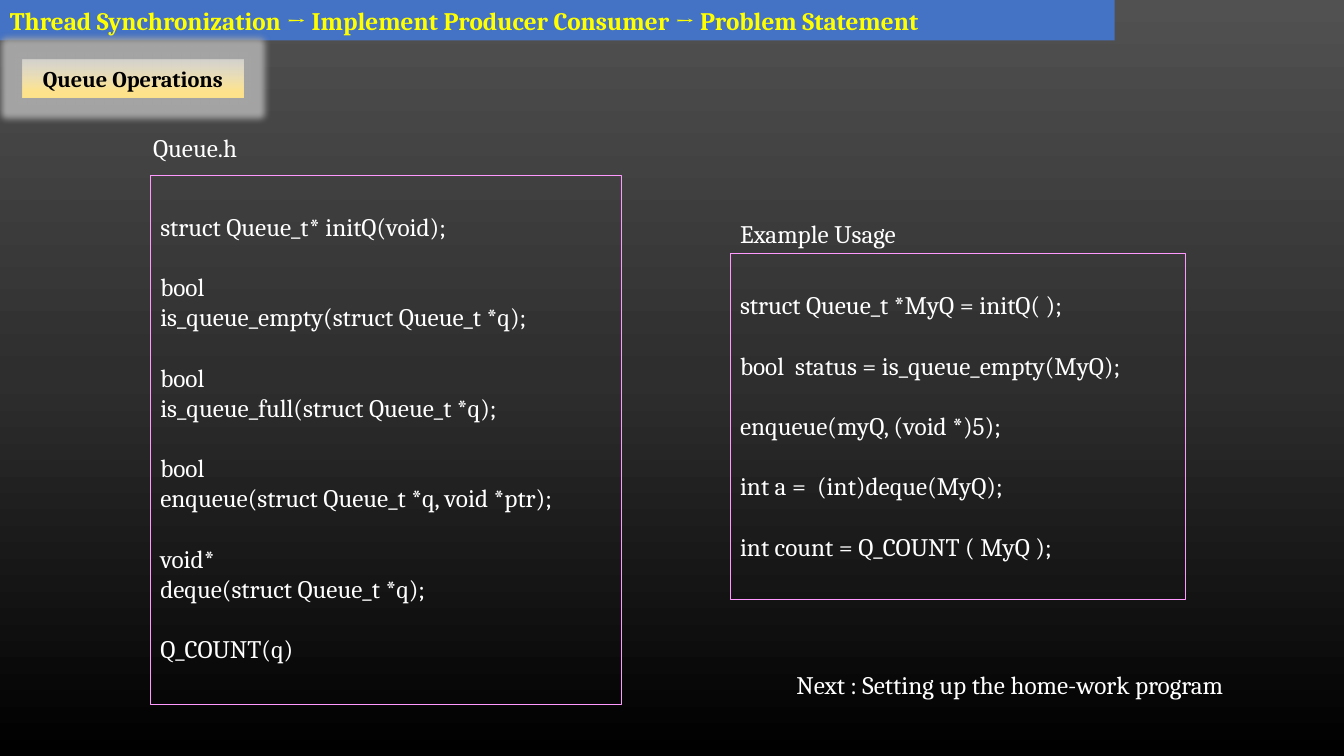
from lxml.etree import SubElement
from pptx import Presentation
from pptx.dml.color import RGBColor
from pptx.enum.shapes import MSO_SHAPE as Shape
from pptx.enum.text import MSO_ANCHOR as Anchor, PP_ALIGN as Align
from pptx.oxml.ns import qn
from pptx.util import Cm, Pt

COLORS = {
    "bar": "4472C4", "title": "FFFF00", "text": "FFFFFF", "label": "000000",
    "outline": "FF99FF", "glow": "A5A5A5",
}
BACKDROP = [(0, "515151", 100), (50, "2E2E2E", 100), (100, "000000", 100)]
LABEL_FILL = [(0, "FFFCF2", 50), (83, "FFE38C", 100), (100, "FFE38C", 100)]
LINE_HEIGHT = 21.5  # points, one line of 18 pt text

# Each group of lines is set off from the one above
QUEUE_HEADER = [
    ["struct Queue_t* initQ(void);"],
    ["bool", "is_queue_empty(struct Queue_t *q);"],
    ["bool", "is_queue_full(struct Queue_t *q);"],
    ["bool", "enqueue(struct Queue_t *q, void *ptr);"],
    ["void*", "deque(struct Queue_t *q);"],
    ["Q_COUNT(q)"],
]
USAGE = [
    ["struct Queue_t *MyQ = initQ( );"],
    ["bool  status = is_queue_empty(MyQ);"],
    ["enqueue(myQ, (void *)5);"],
    ["int a =  (int)deque(MyQ);"],
    ["int count = Q_COUNT ( MyQ );"],
]


def rgb(name):
    return RGBColor.from_string(COLORS[name])


def write(paragraph, text, size=18, color="text", bold=False,
          align=Align.LEFT, before=0):
    paragraph.alignment = align
    paragraph.space_before = Pt(before)
    paragraph.line_spacing = 1.0
    run = paragraph.add_run()
    run.text = text
    run.font.name = "Cambria"
    run.font.size = Pt(size)
    run.font.bold = bold
    run.font.color.rgb = rgb(color)


def add_color(parent, value, alpha):
    color = SubElement(parent, qn("a:srgbClr"), val=value)
    if alpha < 100:
        SubElement(color, qn("a:alpha"), val=str(alpha * 1000))


def fill_gradient(fill, element, stops):
    """Vertical gradient, top to bottom."""
    fill.gradient()
    fill.gradient_angle = 270
    stop_list = element.find(".//" + qn("a:gsLst"))
    for old in list(stop_list):
        stop_list.remove(old)
    for position, value, alpha in stops:
        stop = SubElement(stop_list, qn("a:gs"), pos=str(position * 1000))
        add_color(stop, value, alpha)


class QueueSlide:
    def __init__(self, deck):
        self.slide = deck.slides.add_slide(deck.slide_layouts[5])
        self.shapes = self.slide.shapes
        fill_gradient(self.slide.background.fill, self.slide.element, BACKDROP)

    def frame(self, shape, top=0.13, anchor=Anchor.TOP):
        frame = shape.text_frame
        frame.word_wrap = True
        frame.vertical_anchor = anchor
        frame.margin_left = frame.margin_right = Cm(0.25)
        frame.margin_top, frame.margin_bottom = Cm(top), Cm(0.13)
        return frame

    def rectangle(self, *box):
        shape = self.shapes.add_shape(Shape.RECTANGLE, *map(Cm, box))
        shape.shadow.inherit = False
        shape.fill.background()
        shape.line.fill.background()
        return shape

    def title(self, text, bar_width):
        bar = self.rectangle(0, 0, bar_width, 1.02)
        bar.fill.solid()
        bar.fill.fore_color.rgb = rgb("bar")
        title = self.shapes.title
        bar.element.addnext(title.element)  # title in front of its bar
        title.left, title.top = Cm(0), Cm(0)
        title.width, title.height = Cm(28.35), Cm(1.02)
        frame = self.frame(title)
        write(frame.paragraphs[0], text, color="title", bold=True)

    def label(self, text, *box):
        label = self.rectangle(*box)
        fill_gradient(label.fill, label.element, LABEL_FILL)
        effects = label.element.spPr.find(qn("a:effectLst"))
        glow = SubElement(effects, qn("a:glow"), rad=str(Pt(10)))
        add_color(glow, COLORS["glow"], 100)
        frame = self.frame(label, anchor=Anchor.MIDDLE)
        write(frame.paragraphs[0], text, size=16, color="label", bold=True,
              align=Align.CENTER)

    def caption(self, text, *box):
        caption = self.shapes.add_textbox(*map(Cm, box))
        write(self.frame(caption).paragraphs[0], text)

    def code(self, groups, *box):
        panel = self.rectangle(*box)
        panel.line.color.rgb = rgb("outline")
        panel.line.width = Pt(0.75)
        frame = self.frame(panel, top=0.9)
        for g, group in enumerate(groups):
            for n, line in enumerate(group):
                first = g == n == 0
                paragraph = frame.paragraphs[0] if first else frame.add_paragraph()
                gap = LINE_HEIGHT if g and not n else 0
                write(paragraph, line, before=gap)


def main():
    deck = Presentation()
    deck.slide_width, deck.slide_height = Cm(33.87), Cm(19.05)
    page = QueueSlide(deck)

    # Heading
    page.title("Thread Synchronization → Implement Producer Consumer → "
               "Problem Statement", 28.09)
    page.label("Queue Operations", 0.56, 1.5, 5.58, 0.95)

    # Header file
    page.code(QUEUE_HEADER, 3.79, 4.42, 11.88, 13.34)
    page.caption("Queue.h", 3.61, 3.2, 3, 1.02)

    # Usage
    page.code(USAGE, 18.4, 6.4, 11.48, 8.71)
    page.caption("Example Usage", 18.4, 5.36, 5.16, 1.02)

    # What follows
    page.caption("Next : Setting up the home-work program",
                 19.82, 16.74, 13.06, 1.02)
    deck.save("out.pptx")


if __name__ == "__main__":
    main()
